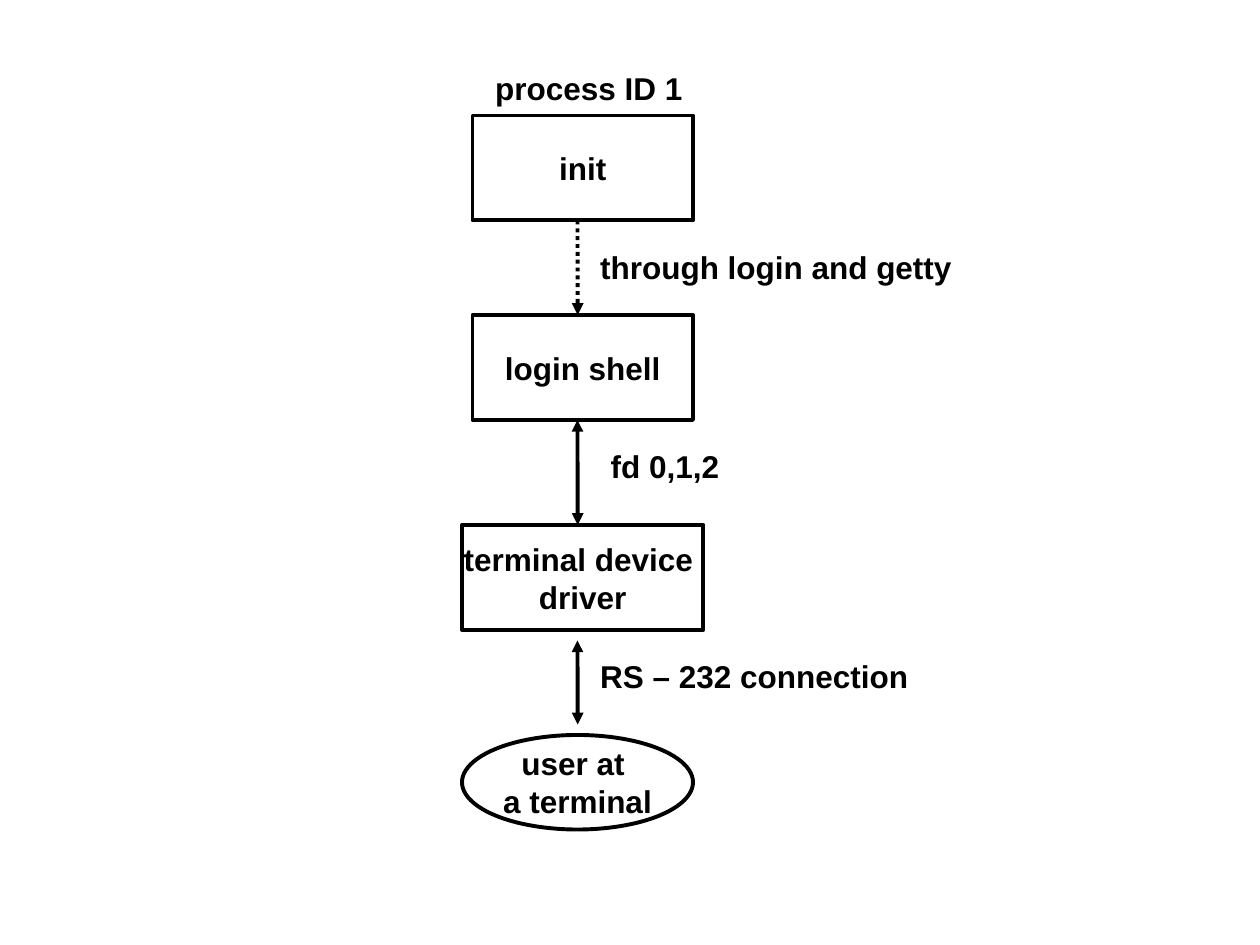
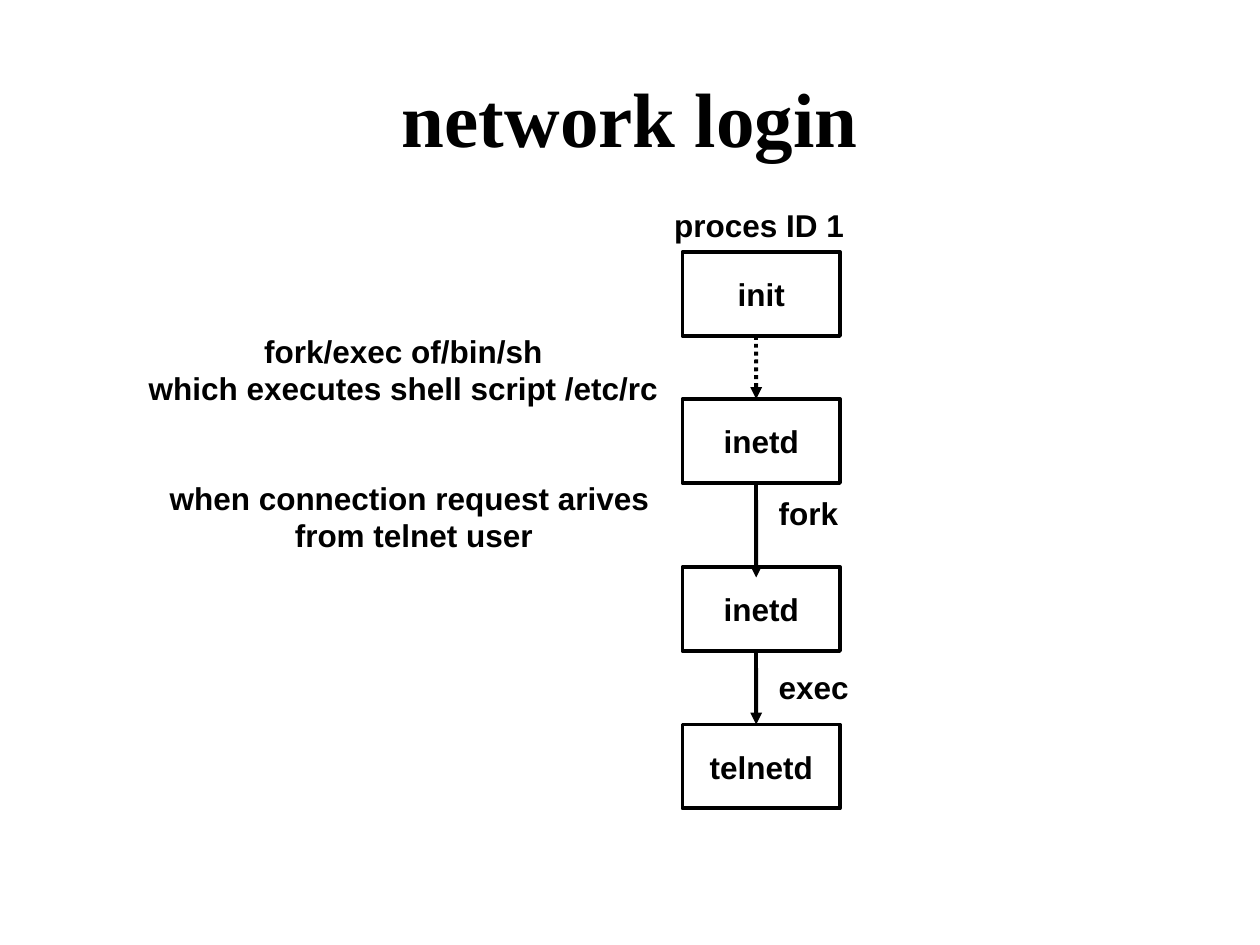
"""Build two slides showing the terminal login and network login process chains."""
from dataclasses import dataclass
from typing import Any

from lxml import etree
from pptx import Presentation
from pptx.dml.color import RGBColor
from pptx.enum import dml, shapes, text
from pptx.oxml.ns import qn
from pptx.util import Pt

BLACK = RGBColor(0x00, 0x00, 0x00)
LINE_WIDTH = Pt(2.25)
ARROW_SLANT = 0.12
LABEL_SLACK = 2
LABEL_FONT = {"name": "Arial", "size": Pt(18), "bold": True}
TITLE_FONT = {"name": "Times New Roman", "size": Pt(44), "bold": True}
RECT = shapes.MSO_SHAPE.RECTANGLE
OVAL = shapes.MSO_SHAPE.OVAL
TITLE_ONLY, BLANK = 5, 6


@dataclass
class Node:
    words: str
    left: float
    top: float
    width: float
    height: float
    kind: Any = RECT


@dataclass
class Label:
    words: str
    left: float
    top: float
    width: float


@dataclass
class Arrow:
    x: float
    top: float
    bottom: float
    both_ends: bool = False
    dotted: bool = False


@dataclass
class Diagram:
    nodes: list[Node]
    arrows: list[Arrow]
    labels: list[Label]
    title: str = ""


def write(tf: Any, words: str, fmt: dict[str, Any]) -> None:
    tf.text = words
    for p in tf.paragraphs:
        p.alignment = text.PP_ALIGN.CENTER
        for r in p.runs:
            r.font.color.rgb = BLACK
            for key, value in fmt.items():
                setattr(r.font, key, value)


def draw_node(s: Any, node: Node) -> None:
    box = map(Pt, (node.left, node.top, node.width, node.height))
    sp = s.shapes.add_shape(node.kind, *box)
    sp.shadow.inherit = False
    sp.fill.background()
    sp.line.color.rgb = BLACK
    sp.line.width = LINE_WIDTH
    tf = sp.text_frame
    tf.word_wrap = False
    tf.vertical_anchor = text.MSO_ANCHOR.MIDDLE
    write(tf, node.words, LABEL_FONT)


def draw_arrow(s: Any, arrow: Arrow) -> None:
    ends = map(Pt, (arrow.x, arrow.top, arrow.x + ARROW_SLANT, arrow.bottom))
    cxn = s.shapes.add_connector(shapes.MSO_CONNECTOR.STRAIGHT, *ends)
    cxn.line.color.rgb = BLACK
    cxn.line.width = LINE_WIDTH
    if arrow.dotted:
        cxn.line.dash_style = dml.MSO_LINE.ROUND_DOT
    ln = cxn.line._get_or_add_ln()
    for end in ("a:headEnd", "a:tailEnd") if arrow.both_ends else ("a:tailEnd",):
        etree.SubElement(ln, qn(end), type="triangle")
    etree.SubElement(cxn._element.spPr, qn("a:effectLst"))


def draw_label(s: Any, label: Label) -> None:
    height = 7.2 + 21.6 * len(label.words.split("\n"))
    left, width = label.left - LABEL_SLACK, label.width + 2 * LABEL_SLACK
    sp = s.shapes.add_textbox(*map(Pt, (left, label.top, width, height)))
    tf = sp.text_frame
    tf.word_wrap = False
    tf.auto_size = text.MSO_AUTO_SIZE.SHAPE_TO_FIT_TEXT
    write(tf, label.words, LABEL_FONT)


def draw_title(s: Any, words: str) -> None:
    sp = s.shapes.title
    sp.left, sp.top, sp.width, sp.height = map(Pt, (36, 21.6, 648, 90))
    sp.text_frame.vertical_anchor = text.MSO_ANCHOR.MIDDLE
    write(sp.text_frame, words, TITLE_FONT)


def draw_diagram(prs: Any, diagram: Diagram) -> None:
    s = prs.slides.add_slide(prs.slide_layouts[TITLE_ONLY if diagram.title else BLANK])
    if diagram.title:
        draw_title(s, diagram.title)
    for node in diagram.nodes:
        draw_node(s, node)
    for arrow in diagram.arrows:
        draw_arrow(s, arrow)
    for label in diagram.labels:
        draw_label(s, label)


TERMINAL_LOGIN = Diagram(
    nodes=[
        Node("init", 270, 66, 126, 60),
        Node("login shell", 270, 180, 126, 60),
        Node("terminal device \ndriver", 264, 300, 138, 60),
        Node("user at \na terminal", 264, 420, 132, 54, OVAL),
    ],
    arrows=[
        Arrow(330, 126, 180, dotted=True),
        Arrow(330, 240, 300, both_ends=True),
        Arrow(330, 366, 414, both_ends=True),
    ],
    labels=[
        Label("process ID 1", 276, 36, 121),
        Label("through login and getty", 336, 138, 215),
        Label("fd 0,1,2", 342, 252, 76),
        Label("RS – 232 connection", 336, 372, 190),
    ],
)

NETWORK_LOGIN = Diagram(
    title="network login",
    nodes=[
        Node(words, 390, top, 90, 48)
        for words, top in (("init", 144), ("inetd", 228), ("inetd", 324), ("telnetd", 414))
    ],
    arrows=[
        Arrow(432, 192, 228, dotted=True),
        Arrow(432, 276, 330),
        Arrow(432, 372, 414),
    ],
    labels=[
        Label("proces ID 1", 378, 114, 111.6),
        Label("fork/exec of/bin/sh\nwhich executes shell script /etc/rc", 78, 186, 305),
        Label("when connection request arives \nfrom telnet user", 90, 270, 293),
        Label("fork", 438, 278.6, 48),
        Label("exec", 438, 378, 54),
    ],
)


def main() -> None:
    prs = Presentation()
    prs.slide_width, prs.slide_height = Pt(720), Pt(540)
    for diagram in (TERMINAL_LOGIN, NETWORK_LOGIN):
        draw_diagram(prs, diagram)
    prs.save("out.pptx")


if __name__ == "__main__":
    main()
